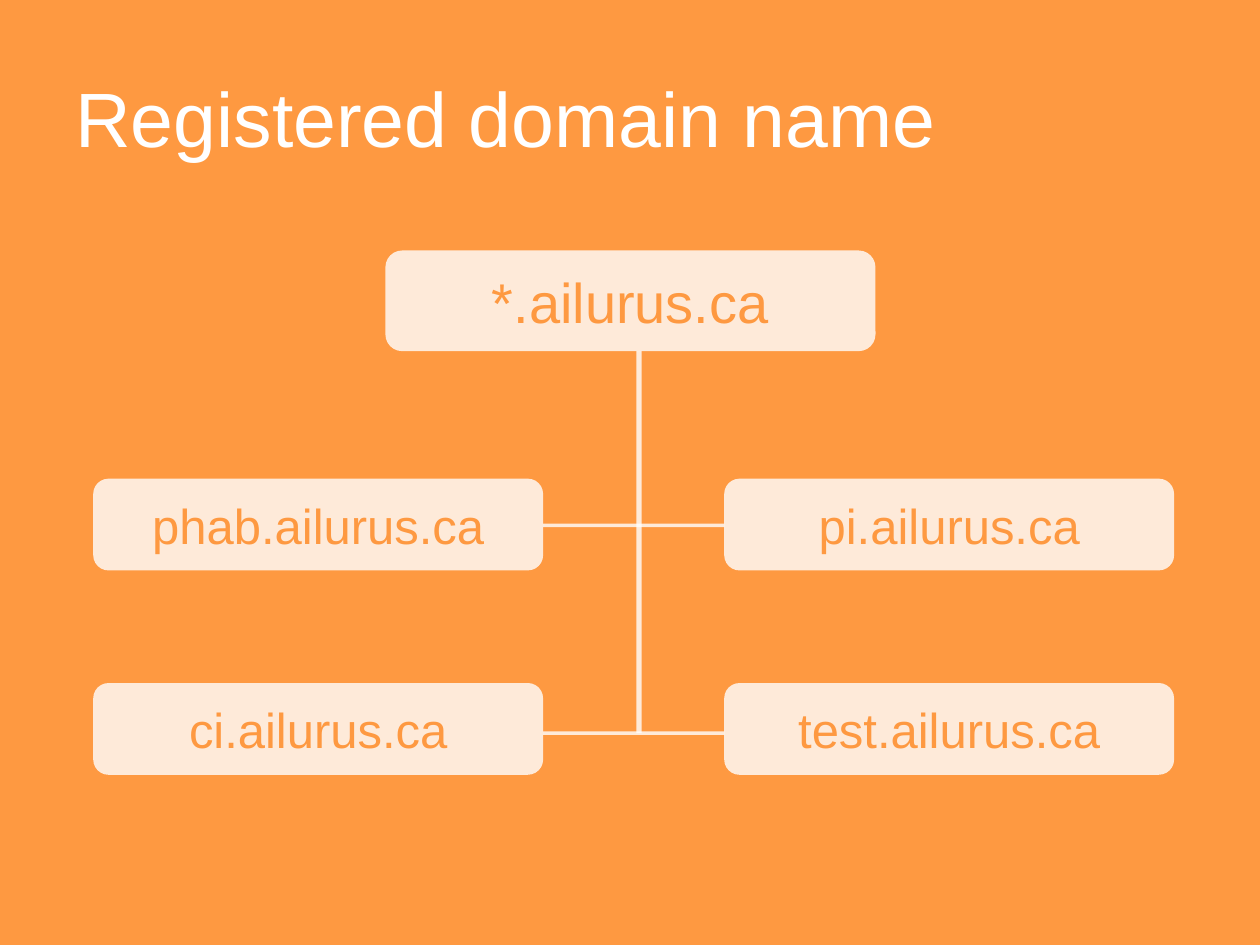
from pptx import Presentation
from pptx.dml.color import RGBColor
from pptx.enum.shapes import MSO_CONNECTOR as Connector, MSO_SHAPE as Shape
from pptx.enum.text import MSO_ANCHOR as Anchor, PP_ALIGN as Align
from pptx.oxml.ns import qn
from pptx.util import Cm, Pt
from lxml.etree import SubElement

COLORS = {"orange": "FE9941", "white": "FFFFFF"}


class DomainSlide:
    font_name = "Arial"
    opacity = 80

    def __init__(self, slide):
        self.slide = slide
        background = slide.background.fill
        background.solid()
        background.fore_color.rgb = self.color("orange")

    def color(self, key):
        return RGBColor.from_string(COLORS[key])

    def paint(self, fill):
        fill.solid()
        fill.fore_color.rgb = self.color("white")
        tint = fill._xPr.find(qn("a:solidFill"))[0]
        SubElement(tint, qn("a:alpha")).set("val", str(self.opacity * 1000))

    def label(self, shape, text, size, color, align):
        frame = shape.text_frame
        frame.word_wrap = True
        frame.vertical_anchor = Anchor.MIDDLE
        paragraph = frame.paragraphs[0]
        paragraph.text = text
        paragraph.alignment = align
        paragraph.font.name = self.font_name
        paragraph.font.size = Pt(size)
        paragraph.font.color.rgb = self.color(color)

    def title(self, text, left, top, width, height):
        heading = self.slide.shapes.add_textbox(Cm(left), Cm(top), Cm(width), Cm(height))
        self.label(heading, text, 44, "white", Align.LEFT)

    def domain(self, text, left, top, width, height, size):
        box = self.slide.shapes.add_shape(
            Shape.ROUNDED_RECTANGLE, Cm(left), Cm(top), Cm(width), Cm(height))
        box.shadow.inherit = False
        box.line.fill.background()
        self.paint(box.fill)
        self.label(box, text, size, "orange", Align.CENTER)

    def link(self, x1, y1, x2, y2, weight):
        branch = self.slide.shapes.add_connector(
            Connector.STRAIGHT, Cm(x1), Cm(y1), Cm(x2), Cm(y2))
        branch.line.width = Pt(weight)
        self.paint(branch.line.fill)
        SubElement(branch._element.spPr, qn("a:effectLst"))


def main():
    deck = Presentation()
    deck.slide_width, deck.slide_height = Cm(25.4), Cm(19.05)
    page = DomainSlide(deck.slides.add_slide(deck.slide_layouts[6]))

    page.title("Registered domain name", 1.27, 0.76, 22.86, 3.18)
    page.domain("*.ailurus.ca", 7.77, 5.05, 9.88, 2.03, 32)

    left_column, right_column, width, height = 1.88, 14.6, 9.07, 1.85
    rows = [
        (9.65, 10.59, "phab.ailurus.ca", "pi.ailurus.ca"),
        (13.77, 14.78, "ci.ailurus.ca", "test.ailurus.ca"),
    ]
    trunk_x, trunk_top, trunk_bottom = 12.88, 7.08, rows[-1][1]
    page.link(trunk_x, trunk_top, trunk_x, trunk_bottom, 3)
    for top, branch_y, left_name, right_name in rows:
        page.domain(left_name, left_column, top, width, height, 28)
        page.domain(right_name, right_column, top, width, height, 28)
        page.link(left_column + width, branch_y, right_column, branch_y, 2)

    deck.save("out.pptx")


if __name__ == "__main__":
    main()
